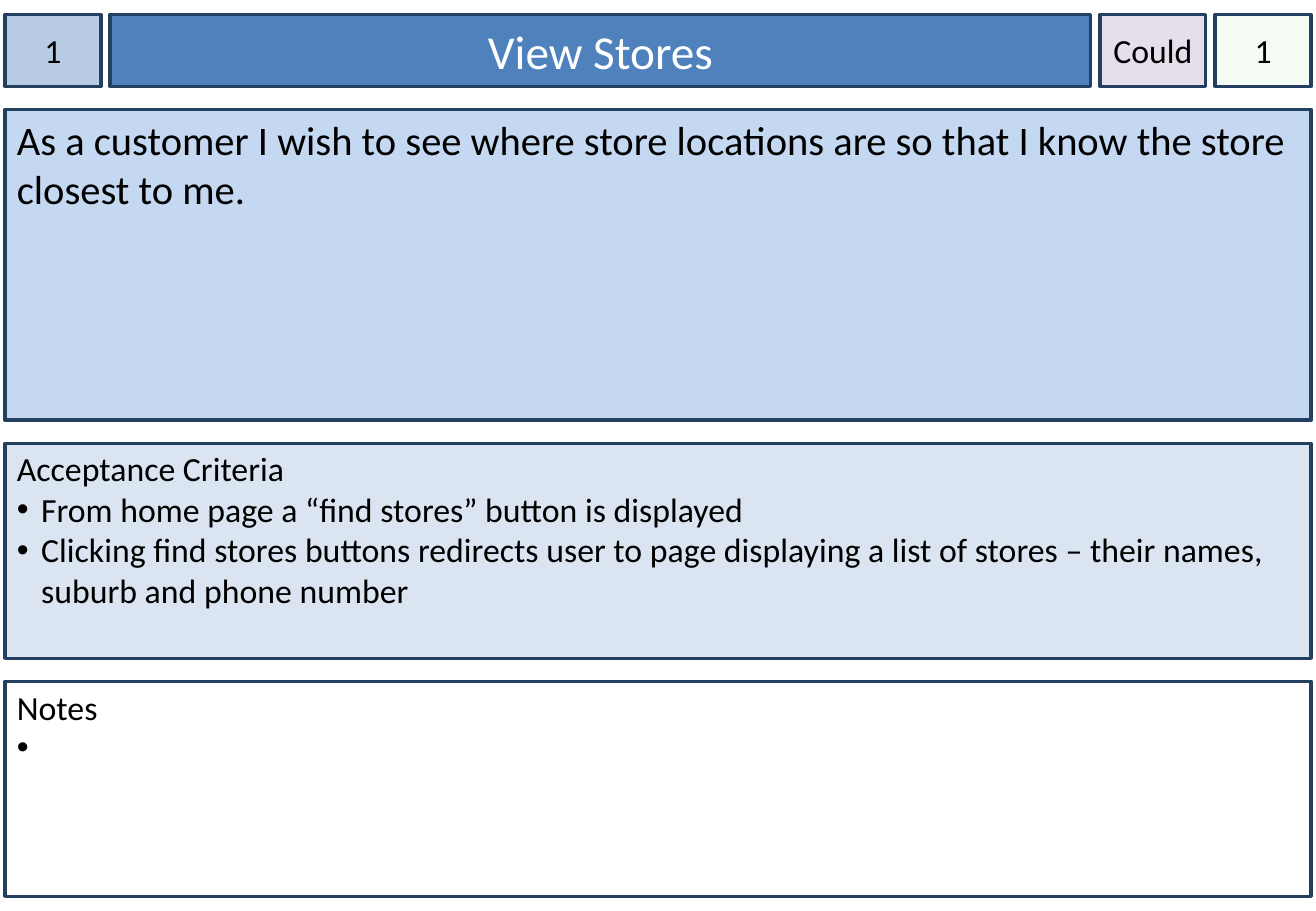
from lxml.etree import SubElement
from pptx import Presentation
from pptx.dml.color import RGBColor
from pptx.enum.shapes import MSO_SHAPE
from pptx.enum.text import MSO_ANCHOR, PP_ALIGN
from pptx.oxml.ns import qn
from pptx.util import Inches, Pt

WIDTH, HEIGHT = 10.83, 7.5
MARGIN, TOP, ROW_GAP = 0.04, 0.12, 0.19
HEADER_HEIGHT = 0.59
INK, BORDER = "000000", "244061"

# text, width, side inset, fill, opacity in percent, font size, font colour
HEADER = [
    ("1", 0.79, 0, "B7CCE4", 100, 20, INK),
    ("View Stores", 8.07, 0.1, "4F81BD", 100, 28, "FFFFFF"),
    ("Could", 0.87, 0, "E5DFEC", 100, 20, INK),
    ("1", 0.79, 0, "CCF0CD", 20, 20, INK),
]
# heading, bullets, height, top inset, fill, font size
PANELS = [
    ("As a customer I wish to see where store locations are so that I know "
     "the store closest to me.", [], 2.56, 0.05, "C5D8F1", 24),
    ("Acceptance Criteria",
     ["From home page a “find stores” button is displayed",
      "Clicking find stores buttons redirects user to page displaying a list "
      "of stores – their names, suburb and phone number"],
     1.77, 0.04, "DAE5F1", 20),
    ("Notes", [" "], 1.77, 0.04, "FFFFFF", 20),
]


def rgb(value):
    return RGBColor.from_string(value)


def add_box(slide, box, fill, insets, anchor):
    sp = slide.shapes.add_shape(MSO_SHAPE.RECTANGLE, *map(Inches, box))
    sp.shadow.inherit = False
    sp.fill.solid()
    sp.fill.fore_color.rgb = rgb(fill)
    sp.line.color.rgb = rgb(BORDER)
    sp.line.width = Pt(2)
    tf = sp.text_frame
    side, top = insets
    settings = {"word_wrap": True, "vertical_anchor": anchor,
                "margin_left": Inches(side), "margin_right": Inches(side),
                "margin_top": Inches(top), "margin_bottom": Inches(0.05)}
    for name, value in settings.items():
        setattr(tf, name, value)
    return sp


def set_opacity(sp, percent):
    color = sp.fill._xPr.find(qn("a:solidFill"))[0]
    SubElement(color, qn("a:alpha"), val=str(percent * 1000))


def add_bullet(p):
    pPr = p._p.get_or_add_pPr()
    pPr.set("marL", str(Inches(0.2)))
    pPr.set("indent", str(-Inches(0.2)))
    SubElement(pPr, qn("a:buFont"), typeface="Arial")
    SubElement(pPr, qn("a:buChar"), char="•")


def write(p, text, size, color, align):
    p.alignment = align
    r = p.add_run()
    r.text = text
    r.font.name = "Calibri"
    r.font.size = Pt(size)
    r.font.color.rgb = rgb(color)


prs = Presentation()
prs.slide_width, prs.slide_height = Inches(WIDTH), Inches(HEIGHT)
slide = prs.slides.add_slide(prs.slide_layouts[6])
full_width = WIDTH - 2 * MARGIN

column_gap = (full_width - sum(cell[1] for cell in HEADER)) / (len(HEADER) - 1)
x = MARGIN
for text, width, side, fill, opacity, size, color in HEADER:
    sp = add_box(slide, (x, TOP, width, HEADER_HEIGHT), fill, (side, 0.05),
                 MSO_ANCHOR.MIDDLE)
    if opacity < 100:
        set_opacity(sp, opacity)
    write(sp.text_frame.paragraphs[0], text, size, color, PP_ALIGN.CENTER)
    x += width + column_gap

y = TOP + HEADER_HEIGHT + ROW_GAP
for heading, bullets, height, inset, fill, size in PANELS:
    sp = add_box(slide, (MARGIN, y, full_width, height), fill, (0.1, inset),
                 MSO_ANCHOR.TOP)
    tf = sp.text_frame
    write(tf.paragraphs[0], heading, size, INK, PP_ALIGN.LEFT)
    for bullet in bullets:
        p = tf.add_paragraph()
        add_bullet(p)
        write(p, bullet, size, INK, PP_ALIGN.LEFT)
    y += height + ROW_GAP

prs.save("out.pptx")
